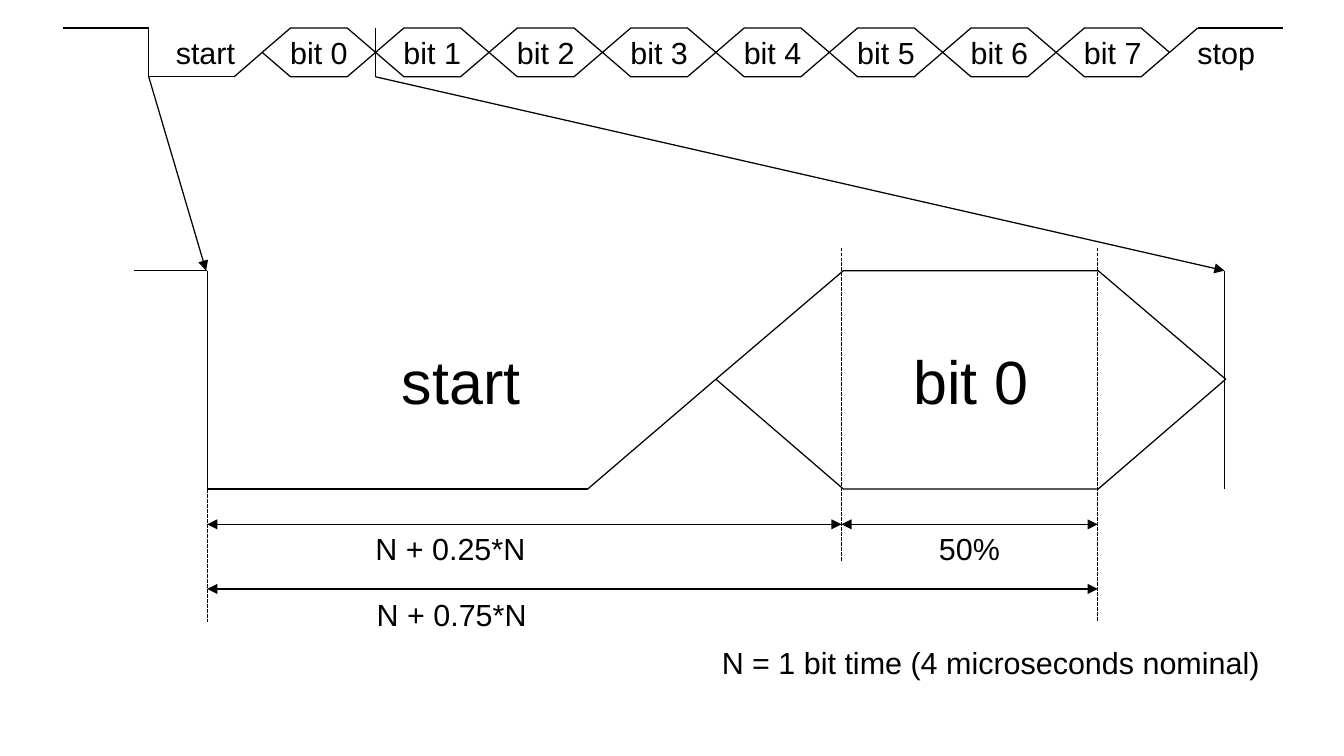
from pptx import Presentation
from pptx.dml.color import RGBColor
from pptx.enum.dml import MSO_LINE
from pptx.enum.shapes import MSO_CONNECTOR
from pptx.enum.text import MSO_ANCHOR, MSO_AUTO_SIZE, PP_ALIGN
from pptx.oxml.ns import qn
from pptx.util import Inches, Pt
from lxml.etree import SubElement

prs = Presentation()
prs.slide_width, prs.slide_height = Inches(11.02), Inches(6.2)
s = prs.slides.add_slide(prs.slide_layouts[6])


def color(hex_str):
    return RGBColor.from_string(hex_str)


def write(sp, text, size, frame_format, align):
    tf = sp.text_frame
    for name, value in frame_format.items():
        setattr(tf, name, value)
    p = tf.paragraphs[0]
    p.alignment = align
    r = p.add_run()
    r.text = text
    for name, value in {"name": "Arial", "size": Pt(size)}.items():
        setattr(r.font, name, value)
    r.font.color.rgb = color("000000")


BLACK, WHITE = "000000", "FFFFFF"
CELL_FORMAT = {"word_wrap": False, "vertical_anchor": MSO_ANCHOR.MIDDLE}
LABEL_FORMAT = {"word_wrap": True, "auto_size": MSO_AUTO_SIZE.SHAPE_TO_FIT_TEXT}

top, mid, bottom, bit_w = 0.23, 0.43, 0.63, 0.93
frame_left = 1.22
big_top, big_mid, big_bottom, big_w = 2.22, 3.11, 4.01, 4.18
big_left = 1.69

cells = [("start", big_left, big_top, big_mid, big_bottom, big_w, 36, WHITE),
         ("bit 0", big_left + big_w, big_top, big_mid, big_bottom, big_w, 36, BLACK)]
names = ["start"] + [f"bit {i}" for i in range(8)] + ["stop"]
for i, name in enumerate(names):
    outline = BLACK if name.startswith("bit") else WHITE
    cells.append((name, frame_left + i * bit_w, top, mid, bottom, bit_w, 18, outline))
cells.sort(key=lambda cell: cell[-1], reverse=True)

for name, x, y0, y1, y2, w, size, outline in cells:
    points = [(x + w / 4, y0), (x + 3 * w / 4, y0), (x + w, y1),
              (x + 3 * w / 4, y2), (x + w / 4, y2), (x, y1)]
    points = [(Inches(px), Inches(py)) for px, py in points]
    fb = s.shapes.build_freeform(*points[0])
    fb.add_line_segments(points[1:], close=True)
    sp = fb.convert_to_shape()
    sp.shadow.inherit = False
    sp.fill.solid()
    sp.fill.fore_color.rgb = color(WHITE)
    sp.line.color.rgb = color(outline)
    sp.line.width = Pt(0.75)
    write(sp, name, size, CELL_FORMAT, PP_ALIGN.CENTER)

start_x, sample_x, end_x, bit_end = 1.7, 6.9, 9, 10.04
lines = [
    (1.22, top, 0.52, top, ""),
    (1.22, top, 1.22, bottom, ""),
    (1.92, bottom, 1.22, bottom, ""),
    (1.92, bottom, 2.15, mid, ""),
    (10.52, top, 9.82, top, ""),
    (9.82, top, 9.59, mid, ""),
    (start_x, big_top, 1.1, big_top, ""),
    (start_x, big_top, start_x, big_bottom, ""),
    (4.82, big_bottom, start_x, big_bottom, ""),
    (4.82, big_bottom, 5.87, big_mid, ""),
    (1.22, bottom, big_left, big_top, "tail"),
    (3.08, bottom, bit_end, big_top, "tail"),
    (3.08, top, 3.08, bottom, ""),
    (bit_end, big_top, bit_end, big_bottom, ""),
    (sample_x, 2.03, sample_x, 4.6, "dash"),
    (end_x, 2.03, end_x, 5.1, "dash"),
    (start_x, big_bottom, start_x, 5.1, "dash"),
    (start_x, 4.3, sample_x, 4.3, "head tail"),
    (start_x, 4.83, end_x, 4.83, "head tail"),
    (sample_x, 4.3, end_x, 4.3, "head tail"),
]
for x1, y1, x2, y2, style in lines:
    ln = s.shapes.add_connector(MSO_CONNECTOR.STRAIGHT, Inches(x1), Inches(y1),
                                Inches(x2), Inches(y2))
    ln.line.color.rgb = color(BLACK)
    ln.line.width = Pt(0.75)
    if style == "dash":
        ln.line.dash_style = MSO_LINE.SQUARE_DOT
    for end in ("head", "tail"):
        if end in style:
            SubElement(ln.line._get_or_add_ln(), qn(f"a:{end}End"), type="triangle")
    SubElement(ln._element.spPr, qn("a:effectLst"))

labels = [
    ("N = 1 bit time (4 microseconds nominal)", 5.82, 5.23, 4.7),
    ("N + 0.25*N", 2.98, 4.3, 2.12),
    ("N + 0.75*N", 2.99, 4.84, 2.12),
    ("50%", 7.6, 4.3, 0.72),
]
for text, x, y, w in labels:
    sp = s.shapes.add_textbox(Inches(x), Inches(y), Inches(w), Inches(0.38))
    write(sp, text, 18, LABEL_FORMAT, PP_ALIGN.LEFT)

prs.save("out.pptx")
